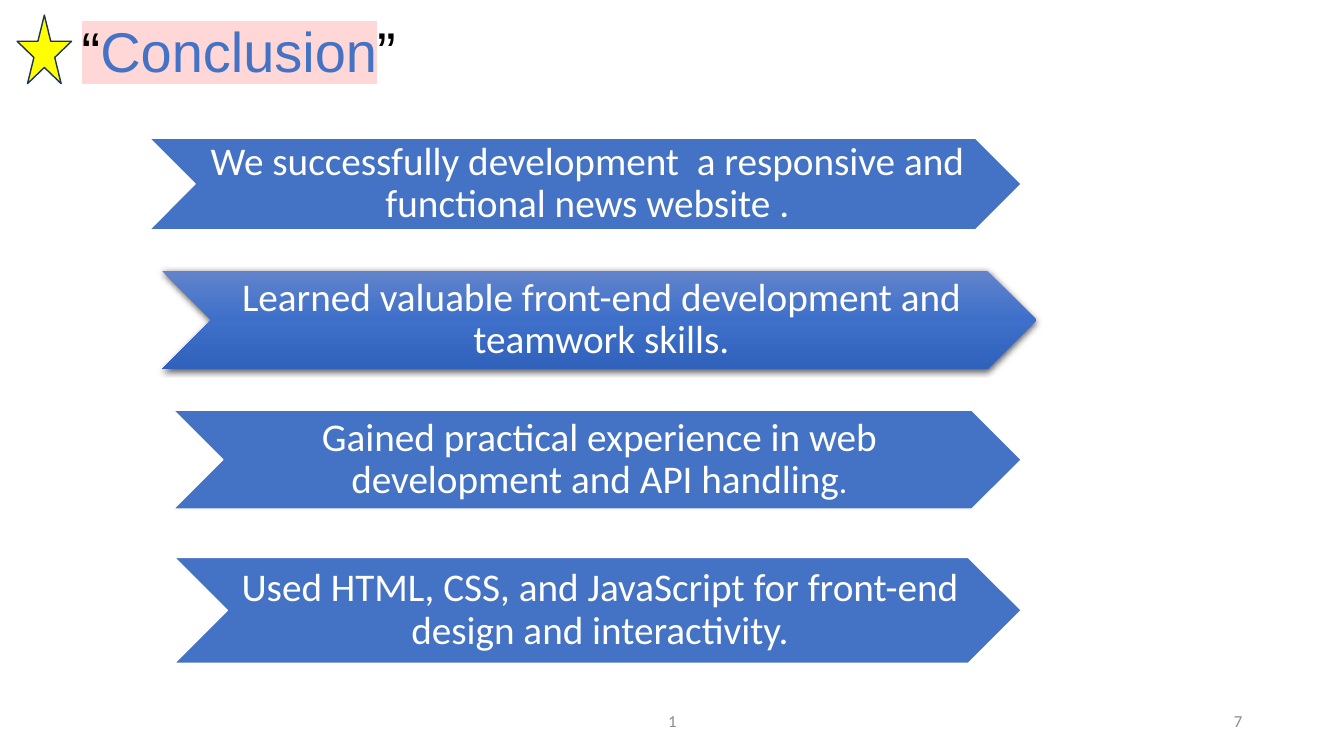
from dataclasses import dataclass

from lxml.etree import SubElement
from pptx import Presentation
from pptx.dml.color import RGBColor
from pptx.enum.shapes import MSO_SHAPE
from pptx.enum.text import MSO_ANCHOR, MSO_AUTO_SIZE, PP_ALIGN
from pptx.oxml.ns import qn
from pptx.util import Inches, Pt

BLUE = "4472C4"
WHITE = "FFFFFF"
BLACK = "000000"


@dataclass
class Arrow:
    left: float
    top: float
    width: float
    height: float
    text: str
    glow: bool = False
    stop: str = ""


@dataclass
class Mark:
    left: float
    width: float
    text: str
    align: PP_ALIGN


ARROWS = [
    Arrow(1.48, 1.37, 8.65, 0.91,
          "We successfully development  a responsive and functional news website ."),
    Arrow(1.61, 2.69, 8.67, 0.97,
          "Learned valuable front-end development and teamwork skills.", glow=True),
    Arrow(1.72, 4.07, 8.41, 0.98,
          "Gained practical experience in web development and API handling", stop="."),
    Arrow(1.73, 5.53, 8.4, 1.05,
          "Used HTML, CSS, and JavaScript for front-end design and interactivity."),
]
MARKS = [
    Mark(4.42, 4.5, "1", PP_ALIGN.CENTER),
    Mark(9.42, 3, "7", PP_ALIGN.RIGHT),
]
SHADES = [(0, "6183CB"), (50, "3E70CA"), (100, "3062BB")]


def hue(code: str) -> RGBColor:
    return RGBColor.from_string(code)


def style(para, size: float, face: str, code: str) -> None:
    para.font.size = Pt(size)
    para.font.name = face
    para.font.color.rgb = hue(code)


def paint(shape, fill: str, line: str) -> None:
    shape.shadow.inherit = False
    shape.fill.solid()
    shape.fill.fore_color.rgb = hue(fill)
    shape.line.color.rgb = hue(line)
    shape.line.width = Pt(1)


def shade(shape) -> None:
    shape.line.fill.background()
    shape.fill.gradient()
    shape.fill.gradient_angle = 270
    props = shape.fill._xPr
    stops = props.find(".//" + qn("a:gsLst"))
    for old in list(stops):
        stops.remove(old)
    for spot, code in SHADES:
        stop = SubElement(stops, qn("a:gs"), pos=str(spot * 1000))
        SubElement(stop, qn("a:srgbClr"), val=code)
    cast = SubElement(props.find(qn("a:effectLst")), qn("a:outerShdw"),
                      blurRad=str(Pt(4.5)), dist=str(Pt(1.5)),
                      dir="5400000", algn="ctr", rotWithShape="0")
    tint = SubElement(cast, qn("a:srgbClr"), val=BLACK)
    SubElement(tint, qn("a:alpha"), val="63000")


def draw_arrow(slide, item: Arrow) -> None:
    shape = slide.shapes.add_shape(
        MSO_SHAPE.CHEVRON, Inches(item.left), Inches(item.top),
        Inches(item.width), Inches(item.height))
    paint(shape, BLUE, WHITE)
    if item.glow:
        shade(shape)
    frame = shape.text_frame
    frame.word_wrap = True
    frame.vertical_anchor = MSO_ANCHOR.MIDDLE
    frame.margin_left = Inches(0.04)
    frame.margin_right = 0
    frame.margin_top = frame.margin_bottom = Inches(0.02)
    para = frame.paragraphs[0]
    para.alignment = PP_ALIGN.CENTER
    para.line_spacing = 0.9
    style(para, 28, "Calibri", WHITE)
    para.add_run().text = item.text
    if item.stop:
        run = para.add_run()
        run.text = item.stop
        run.font.size = Pt(24)


def draw_mark(slide, item: Mark) -> None:
    box = slide.shapes.add_textbox(
        Inches(item.left), Inches(6.95), Inches(item.width), Inches(0.4))
    frame = box.text_frame
    frame.word_wrap = True
    frame.vertical_anchor = MSO_ANCHOR.MIDDLE
    para = frame.paragraphs[0]
    para.text = item.text
    para.alignment = item.align
    style(para, 12, "Calibri", "8C8C8C")


def draw_title(slide) -> None:
    title = slide.shapes.title
    title.left, title.top = Inches(0.71), Inches(0.11)
    title.width, title.height = Inches(3.82), Inches(0.77)
    frame = title.text_frame
    frame.word_wrap = False
    frame.auto_size = MSO_AUTO_SIZE.SHAPE_TO_FIT_TEXT
    frame.vertical_anchor = MSO_ANCHOR.TOP
    para = frame.paragraphs[0]
    para.alignment = PP_ALIGN.LEFT
    style(para, 40, "Arial", BLACK)
    for text, code, lit in [("“", BLACK, True), ("Conclusion", BLUE, True),
                            ("”", BLACK, False)]:
        run = para.add_run()
        run.text = text
        run.font.color.rgb = hue(code)
        if lit:
            glow = SubElement(run.font._rPr, qn("a:highlight"))
            SubElement(glow, qn("a:srgbClr"), val="FFD7D7")


def main() -> None:
    deck = Presentation()
    deck.slide_width, deck.slide_height = Inches(13.33), Inches(7.5)
    slide = deck.slides.add_slide(deck.slide_layouts[5])
    draw_title(slide)
    for item in ARROWS:
        draw_arrow(slide, item)
    star = slide.shapes.add_shape(
        MSO_SHAPE.STAR_5_POINT, Inches(0.17), Inches(0.15),
        Inches(0.54), Inches(0.68))
    paint(star, "FFFF00", "1E3256")
    for item in MARKS:
        draw_mark(slide, item)
    deck.save("out.pptx")


if __name__ == "__main__":
    main()
